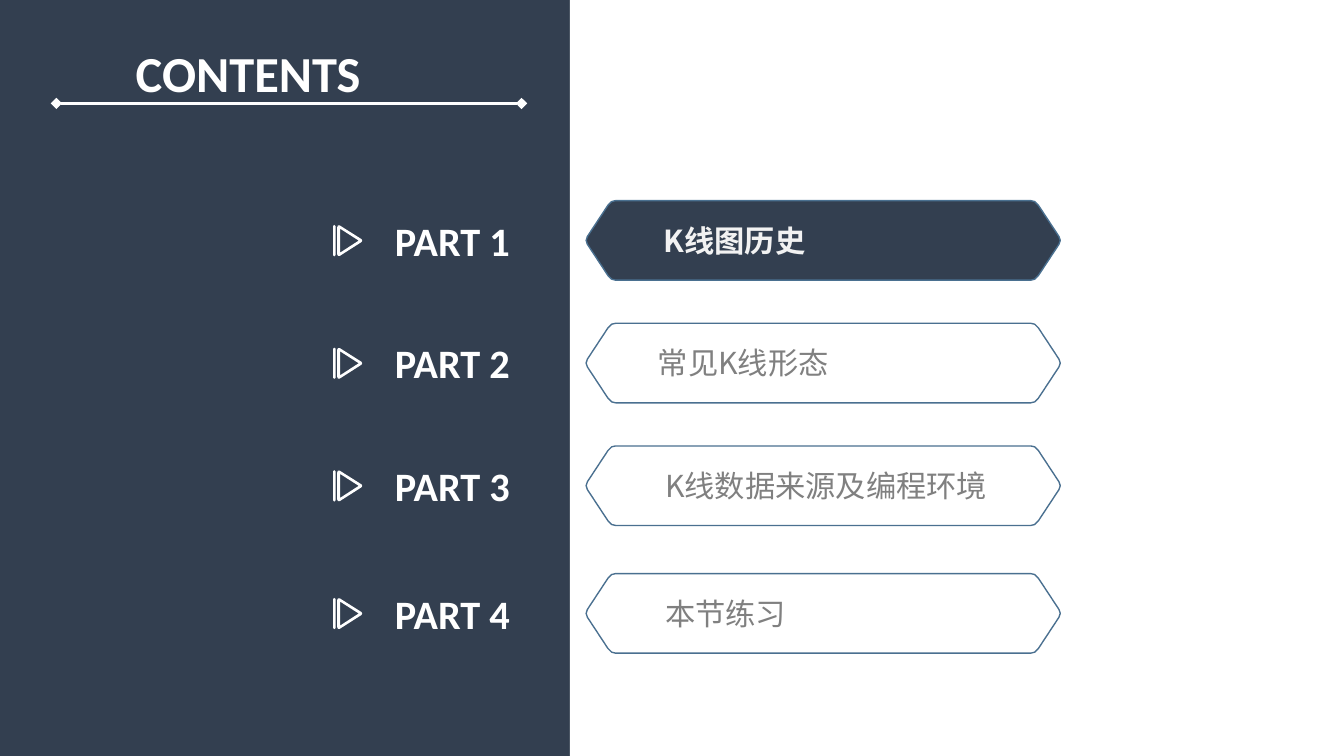
import pptx
import pptx.dml.color
import pptx.enum.shapes
import pptx.enum.text
import pptx.oxml.ns
import pptx.util
from lxml import etree

Pt = pptx.util.Pt
RGBColor = pptx.dml.color.RGBColor
qn = pptx.oxml.ns.qn

NAVY = RGBColor(0x33, 0x3F, 0x50)
WHITE = RGBColor(0xFF, 0xFF, 0xFF)
PALE = RGBColor(0xF2, 0xF2, 0xF2)
GRAY = RGBColor(0x80, 0x80, 0x80)
STEEL = RGBColor(0x4A, 0x70, 0x90)
LATIN_FONT = "Calibri"
CHINESE_FONT = "Noto Sans CJK SC"

BANNER_LEFT, BANNER_WIDTH, BANNER_HEIGHT = 314, 254, 42.6
# Upper left quarter of a banner, from the top edge to the tip
BANNER_CORNER = [(15.8, 0), (13.7, 0.5), (11.7, 2.5), (0.7, 19.2), (0, 21.3)]

# Play icon, relative to its left top corner
ICON_LEFT, ICON_DROP = 178.5, 13
ICON_CONTOURS = [
    [(2.2, 1.2), (2.6, 0.3), (3.6, 0.3), (15.2, 7.6), (15.6, 8.4),
     (15.2, 9.2), (3.6, 16.6), (2.6, 16.6), (2.2, 15.7)],
    [(3.7, 2), (13.7, 8.4), (3.7, 14.9)],
    [(0, 0.6), (0.6, 0), (1.3, 0.6), (1.3, 16.2), (0.6, 16.8), (0, 16.2)],
]

# Top of the row, topic, left and width of the topic box
ROWS = [
    (107.5, "K线图历史", 348.5, 98),
    (173.2, "常见K线形态", 345.3, 118),
    (238.9, "K线数据来源及编程环境", 349.2, 192),
    (307.3, "本节练习", 349.2, 179),
]


def banner_contour(left, top):
    upper = BANNER_CORNER[::-1]
    upper += [(BANNER_WIDTH - x, y) for x, y in BANNER_CORNER]
    lower = [(x, BANNER_HEIGHT - y) for x, y in upper[-2:0:-1]]
    return [(left + x, top + y) for x, y in upper + lower]


class ContentsPage:
    """Holds the style and the current slide; lengths are in points."""

    def __init__(self, deck):
        self.page = deck.slides.add_slide(deck.slide_layouts[5])
        self.shapes = self.page.shapes
        fill = self.page.background.fill
        fill.solid()
        fill.fore_color.rgb = NAVY

    def paint(self, shape, fill, line=None):
        shape.shadow.inherit = False
        if fill is None:
            shape.fill.background()
        else:
            shape.fill.solid()
            shape.fill.fore_color.rgb = fill
        if line is None:
            shape.line.fill.background()
        else:
            shape.line.color.rgb = line
            shape.line.width = Pt(0.75)

    def set_text(self, box, words, size, color, bold, font):
        frame = box.text_frame
        frame.text = words
        frame.word_wrap = True
        frame.auto_size = pptx.enum.text.MSO_AUTO_SIZE.SHAPE_TO_FIT_TEXT
        frame.vertical_anchor = pptx.enum.text.MSO_ANCHOR.TOP
        para = frame.paragraphs[0]
        para.alignment = pptx.enum.text.PP_ALIGN.LEFT
        para.font.name = font
        para.font.size = Pt(size)
        para.font.bold = bold
        para.font.color.rgb = color
        properties = para._p.pPr.find(qn("a:defRPr"))
        etree.SubElement(properties, qn("a:ea"), typeface=font)

    def title(self, words, left, top, width, height):
        box = self.shapes.title
        box.left, box.top = Pt(left), Pt(top)
        box.width, box.height = Pt(width), Pt(height)
        self.set_text(box, words, 27, WHITE, True, LATIN_FONT)

    def text(self, words, left, top, width, height, size, color, bold, font):
        box = self.shapes.add_textbox(Pt(left), Pt(top), Pt(width), Pt(height))
        self.set_text(box, words, size, color, bold, font)

    def panel(self, left, top, width, height):
        panel = self.shapes.add_shape(
            pptx.enum.shapes.MSO_SHAPE.RECTANGLE,
            Pt(left), Pt(top), Pt(width), Pt(height))
        self.paint(panel, WHITE)

    def diamond_line(self, left, right, y):
        rule = self.shapes.add_connector(
            pptx.enum.shapes.MSO_CONNECTOR.STRAIGHT,
            Pt(left), Pt(y), Pt(right), Pt(y))
        rule.line.color.rgb = WHITE
        rule.line.width = Pt(2)
        outline = rule.line._get_or_add_ln()
        for end in ("a:headEnd", "a:tailEnd"):
            etree.SubElement(outline, qn(end), type="diamond")
        etree.SubElement(rule._element.spPr, qn("a:effectLst"))

    def outline(self, contours, fill, line=None):
        """Draw closed contours as one shape, on a grid of 1/100 point."""
        grid = [[(x * 100, y * 100) for x, y in contour]
                for contour in contours]
        builder = self.shapes.build_freeform(*grid[0][0], scale=Pt(1) / 100)
        builder.add_line_segments(grid[0][1:], close=True)
        for contour in grid[1:]:
            builder.move_to(*contour[0])
            builder.add_line_segments(contour[1:], close=True)
        self.paint(builder.convert_to_shape(), fill, line)

    def row(self, number, top, topic, left, width, current):
        self.outline([banner_contour(BANNER_LEFT, top)],
                     NAVY if current else None, STEEL)
        self.outline([[(ICON_LEFT + x, top + ICON_DROP + y)
                       for x, y in contour] for contour in ICON_CONTOURS],
                     WHITE)
        self.text(f"PART {number}", 204.5, top + 4.6, 109.4, 33,
                  21.6, WHITE, True, LATIN_FONT)
        self.text(topic, left, top + 7.9, width, 26.6,
                  16.2, PALE if current else GRAY, current, CHINESE_FONT)


def main():
    deck = pptx.Presentation()
    deck.slide_width, deck.slide_height = Pt(720), Pt(405)
    contents = ContentsPage(deck)
    contents.panel(305.3, 0, 414.7, 405)
    contents.title("CONTENTS", 65.5, 18.7, 265.7, 39.6)
    contents.diamond_line(30.2, 279.4, 55.4)
    for number, (top, topic, left, width) in enumerate(ROWS, 1):
        contents.row(number, top, topic, left, width, current=number == 1)
    deck.save("out.pptx")


if __name__ == "__main__":
    main()
